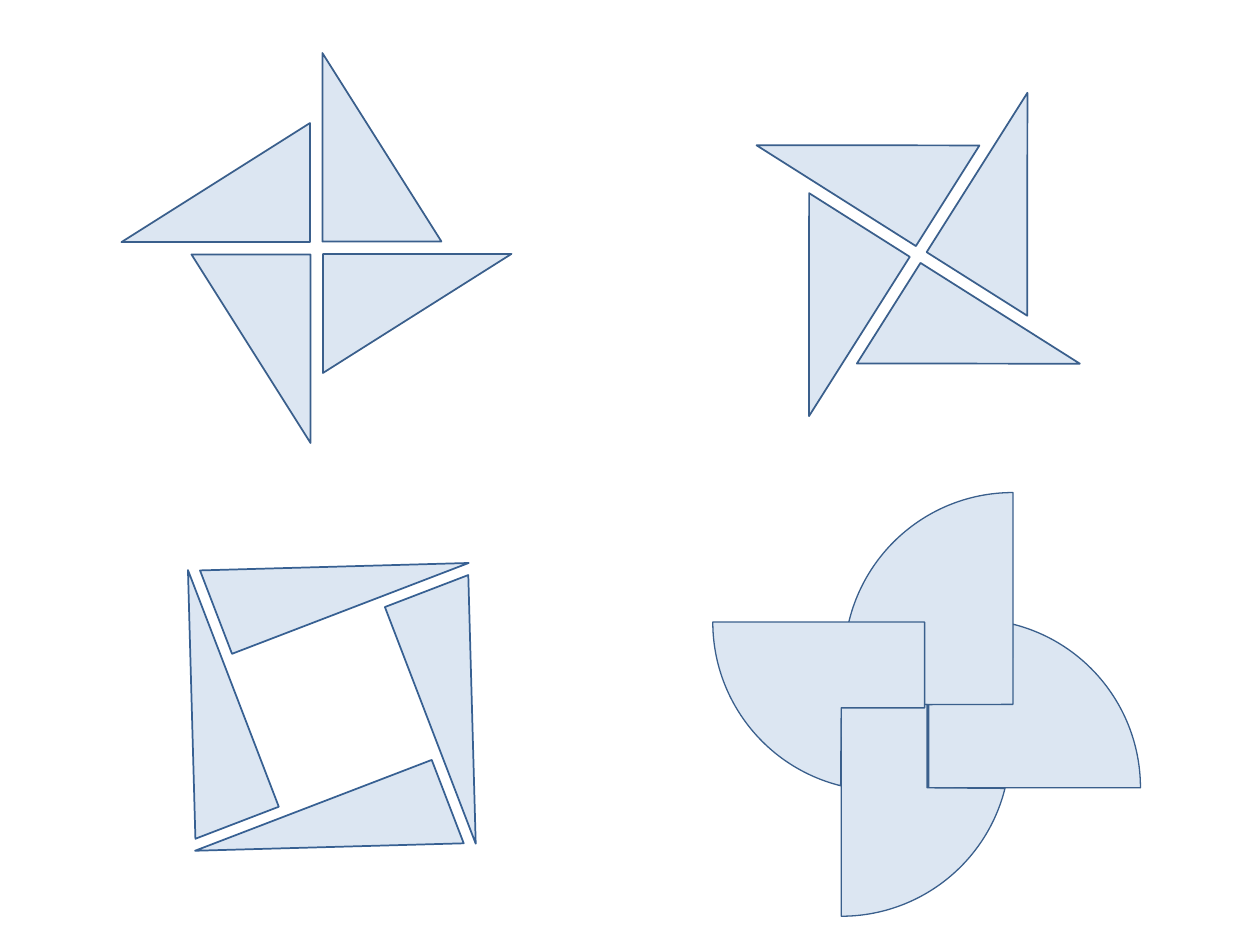
import math
import pptx
import pptx.util
import pptx.dml.color
import pptx.enum.shapes
import pptx.oxml
import pptx.oxml.ns

Cm = pptx.util.Cm

THEME = {"fill": "DCE6F2", "line": "3A5F8C", "dark": "376092", "thick": 1, "thin": 0.75}

BLADE = {"size": (2.4, 3.8), "off": (1.32, -2.03), "line": "line"}
WHEELS = [
    {"hub": (6.38, 5.0), "turn": 0, "group": False, **BLADE},
    {"hub": (18.51, 5.13), "turn": 32.3, "group": True, **BLADE},
    {"hub": (6.69, 14.25), "turn": -21, "group": True,
     "size": (5.11, 1.8), "off": (1.06, -2.62), "line": "dark"},
]

RADIUS = 3.4
CENTER = (1.73, -0.87)
NOTCH = [(0, -1.68), (0, 0), (1.73, 0)]
PETALS = [
    {"hub": (18.72, 14.15), "turn": 90, "stops": [90, 166], "tail": NOTCH},
    {"hub": (18.69, 14.2), "turn": 0, "stops": [90, 180, 195], "tail": NOTCH[-1:]},
    {"hub": (18.69, 14.2), "turn": 180, "stops": [90, 166], "tail": NOTCH},
    {"hub": (18.64, 14.27), "turn": 270, "stops": [90, 166], "tail": NOTCH},
]


def spin(point, turn, hub):
    x, y = point
    c, s = math.cos(math.radians(turn)), math.sin(math.radians(turn))
    return hub[0] + x * c - y * s, hub[1] + x * s + y * c


def paint(shape, line, width):
    shape.shadow.inherit = False
    shape.fill.solid()
    shape.fill.fore_color.rgb = pptx.dml.color.RGBColor.from_string(THEME["fill"])
    shape.line.color.rgb = pptx.dml.color.RGBColor.from_string(THEME[line])
    shape.line.width = pptx.util.Pt(THEME[width])


def place(shape, center, turn):
    shape.left = round(Cm(center[0]) - shape.width / 2)
    shape.top = round(Cm(center[1]) - shape.height / 2)
    shape.rotation = turn % 360


def add_wheel(shapes, hub, turn, group, size, off, line):
    home = shapes.add_group_shape().shapes if group else shapes
    for step in range(4):
        angle = turn + 90 * step
        blade = home.add_shape(
            pptx.enum.shapes.MSO_SHAPE.RIGHT_TRIANGLE, 0, 0, Cm(size[0]), Cm(size[1]))
        place(blade, spin(off, angle, hub), angle)
        paint(blade, line, "thick")


def trace_arc(stops):
    points = [(CENTER[0], CENTER[1] - RADIUS)]
    for first, last in zip(stops, stops[1:]):
        a, b = math.radians(first), math.radians(last)
        pull = 4 / 3 * math.tan((b - a) / 4)
        for angle, side in ((a, pull), (b, -pull), (b, 0)):
            c, s = math.cos(angle), math.sin(angle)
            points.append((CENTER[0] + RADIUS * (c - side * s),
                           CENTER[1] - RADIUS * (s + side * c)))
    return points


def bend(shape, count):
    tag = pptx.oxml.ns.qn
    lines = list(shape.element.iter(tag("a:lnTo")))
    for i in range(0, 3 * count, 3):
        curve = pptx.oxml.parse_xml(
            "<a:cubicBezTo %s/>" % pptx.oxml.ns.nsdecls("a"))
        lines[i].addprevious(curve)
        for line in lines[i:i + 3]:
            curve.append(line[0])
            line.getparent().remove(line)


def add_petal(shapes, hub, turn, stops, tail):
    points = trace_arc(stops) + tail
    start, *rest = [(Cm(x), Cm(y)) for x, y in points]
    pen = shapes.build_freeform(*start)
    pen.add_line_segments(rest, close=True)
    petal = pen.convert_to_shape()
    bend(petal, len(stops) - 1)
    xs, ys = zip(*points)
    middle = ((min(xs) + max(xs)) / 2, (min(ys) + max(ys)) / 2)
    place(petal, spin(middle, turn, hub), turn)
    paint(petal, "line", "thin")


def main():
    deck = pptx.Presentation()
    deck.slide_width, deck.slide_height = Cm(25.4), Cm(19.05)
    slide = deck.slides.add_slide(deck.slide_layouts[6])
    for wheel in WHEELS:
        add_wheel(slide.shapes, **wheel)
    flower = slide.shapes.add_group_shape().shapes
    for petal in PETALS:
        add_petal(flower, **petal)
    box = [(p.left, p.top, p.left + p.width, p.top + p.height) for p in flower]
    assert len(box) == len(PETALS)
    deck.save("out.pptx")


if __name__ == "__main__":
    main()
